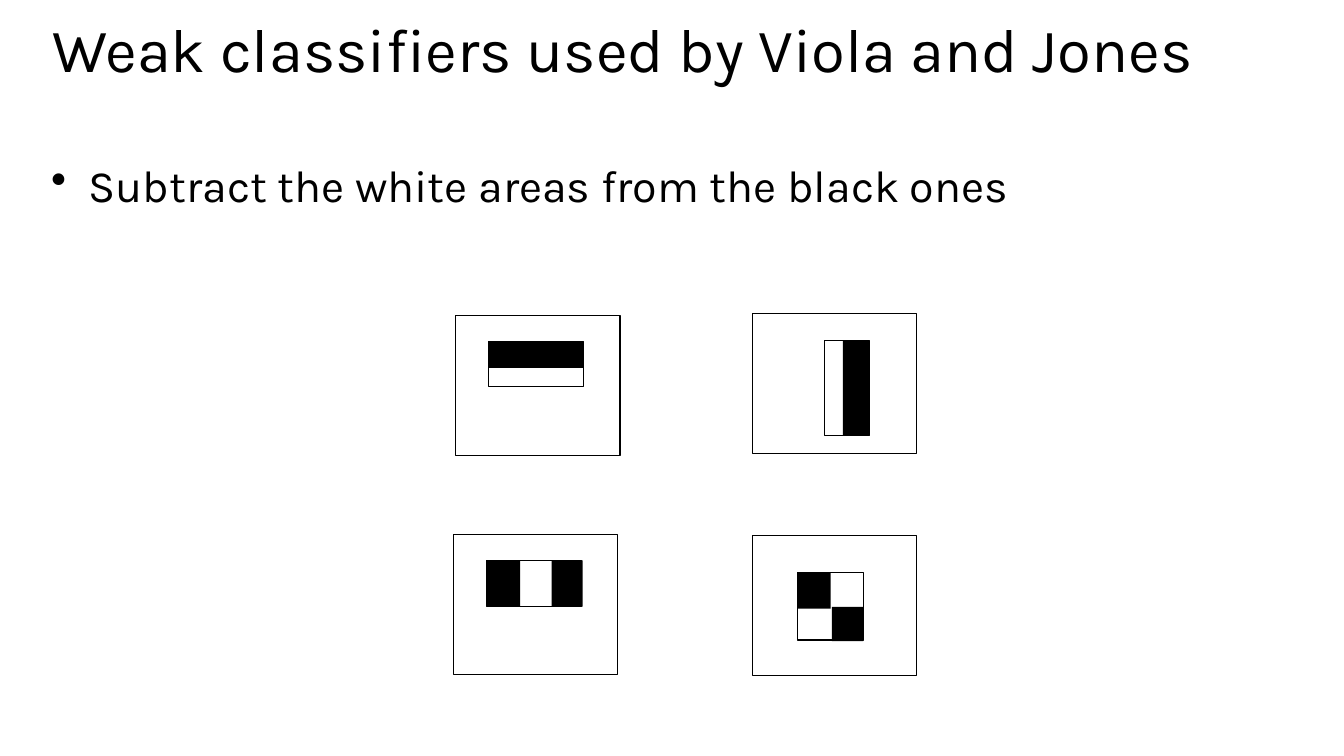
from lxml import etree
from pptx import Presentation
from pptx.dml.color import RGBColor
from pptx.enum import shapes, text
from pptx.oxml import ns
from pptx.util import Inches, Pt

BLACK = RGBColor(0x00, 0x00, 0x00)
WHITE = RGBColor(0xFF, 0xFF, 0xFF)
FRAME_SIZE = (1.63, 1.39)


class ClassifierSlide:
    """Holds the style and the current slide."""

    font_format = {"name": "Karla", "bold": False}
    line_width = Pt(0.75)

    def __init__(self, deck):
        self.slide = deck.slides.add_slide(deck.slide_layouts[6])
        background = self.slide.background.fill
        background.solid()
        background.fore_color.rgb = WHITE

    def words(self, wording, area, size, spacing=1.0, bullet_indent=None):
        frame = self.slide.shapes.add_textbox(*map(Inches, area)).text_frame
        frame.word_wrap = True
        frame.vertical_anchor = text.MSO_ANCHOR.TOP
        paragraph = frame.paragraphs[0]
        paragraph.text = wording
        paragraph.line_spacing = spacing
        if bullet_indent:
            properties = paragraph._p.get_or_add_pPr()
            properties.set("marL", str(Inches(bullet_indent)))
            properties.set("indent", str(-Inches(bullet_indent)))
            etree.SubElement(properties, ns.qn("a:buChar"), char="•")
        font = paragraph.runs[0].font
        for attribute, value in {**self.font_format, "size": Pt(size)}.items():
            setattr(font, attribute, value)
        font.color.rgb = BLACK

    def rectangle(self, area, rotation):
        box = self.slide.shapes.add_shape(
            shapes.MSO_SHAPE.RECTANGLE, *map(Inches, area))
        box.shadow.inherit = False
        box.rotation = rotation
        return box

    def black_area(self, area, rotation=0):
        box = self.rectangle(area, rotation)
        box.fill.solid()
        box.fill.fore_color.rgb = BLACK
        box.line.fill.background()

    def outline(self, area, rotation=0):
        box = self.rectangle(area, rotation)
        box.fill.background()
        box.line.color.rgb = BLACK
        box.line.width = self.line_width

    def classifier(self, window, feature, black_areas, rotation=0):
        for area in black_areas:
            self.black_area(area, rotation)
        self.outline(feature, rotation)
        self.outline((*window, *FRAME_SIZE))


def main():
    deck = Presentation()
    deck.slide_width, deck.slide_height = Inches(13.33), Inches(7.5)
    page = ClassifierSlide(deck)

    # Title and instruction
    page.words("Weak classifiers used by Viola and Jones",
               (0.42, 0.2, 12.6, 1.16), 44, spacing=0.8)
    page.words("Subtract the white areas from the black ones",
               (0.41, 1.52, 12.6, 5.79), 32, bullet_indent=0.37)

    # Two stacked bands
    page.classifier((4.52, 3.13), (4.85, 3.39, 0.94, 0.44),
                    [(4.85, 3.39, 0.94, 0.26)])
    # Three columns
    page.classifier((4.5, 5.3), (4.83, 5.56, 0.94, 0.46),
                    [(4.83, 5.56, 0.33, 0.46), (5.47, 5.56, 0.31, 0.46)])
    # Two bands turned upright
    page.classifier((7.46, 3.11), (7.93, 3.63, 0.94, 0.44),
                    [(8.02, 3.72, 0.94, 0.26)], rotation=90)
    # Checkerboard
    page.classifier((7.46, 5.31), (7.91, 5.68, 0.66, 0.67),
                    [(7.91, 5.68, 0.33, 0.36), (8.25, 6.02, 0.31, 0.34)])

    deck.save("out.pptx")


if __name__ == "__main__":
    main()
